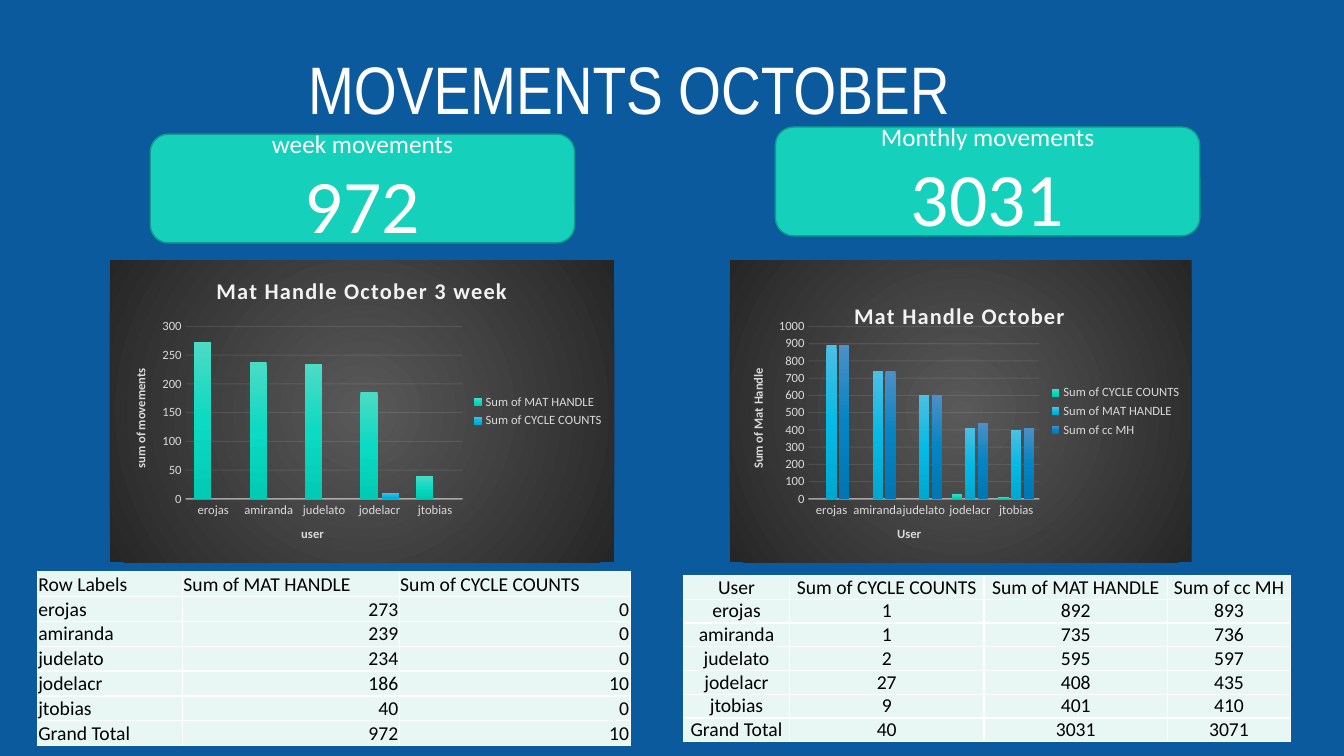
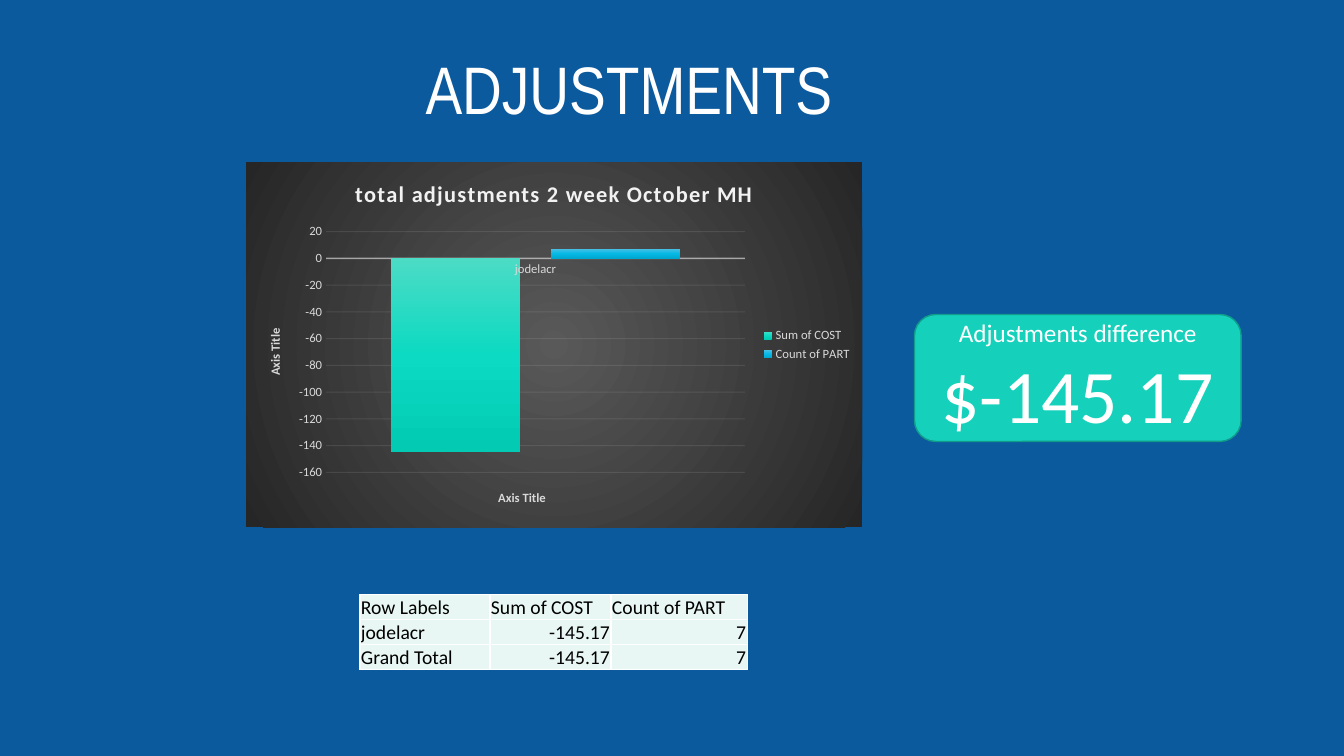
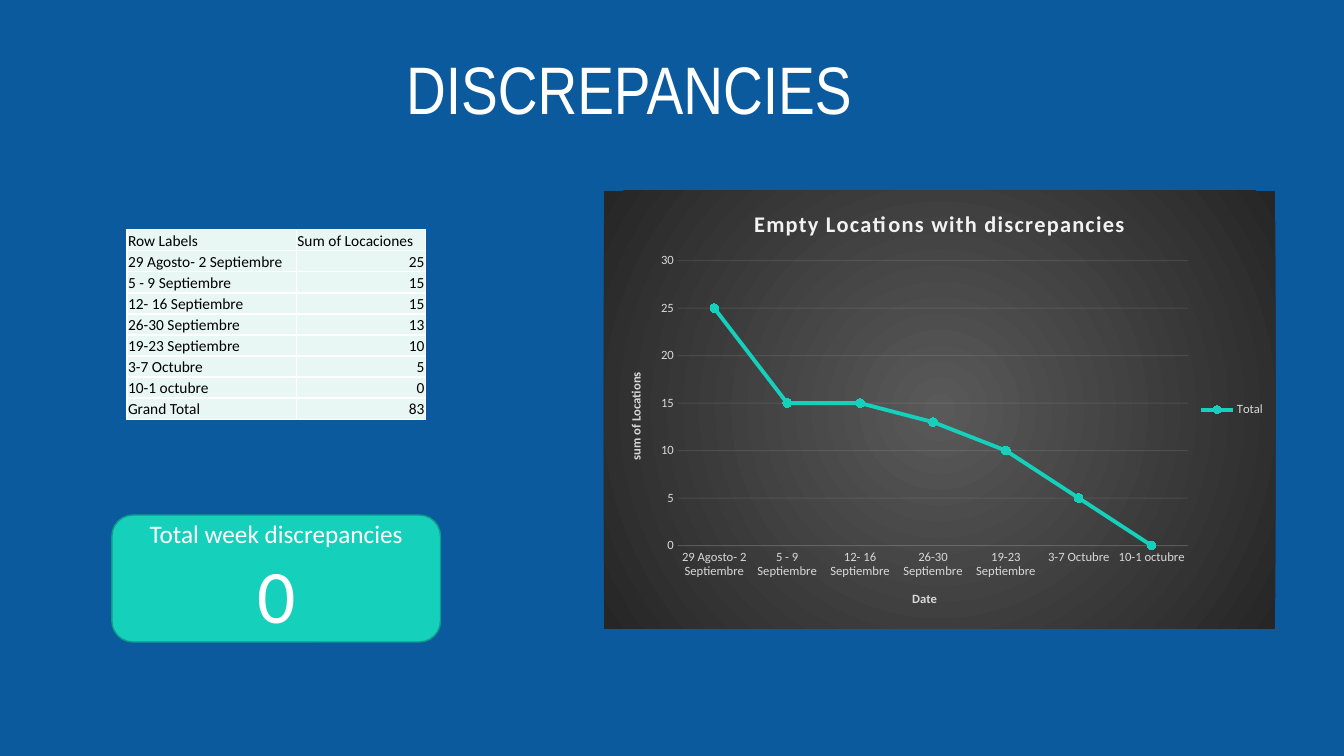
from lxml import etree
from pptx import Presentation
from pptx.chart.data import CategoryChartData
from pptx.dml.color import RGBColor
from pptx.enum import chart as kinds, shapes, text
from pptx.oxml import parse_xml
from pptx.oxml.ns import nsdecls, qn
from pptx.util import Inches, Pt

BLUE, TEAL, EDGE, MINT = "0C5A9E", "15D1BB", "109B8A", "E8F7F3"
WHITE, BLACK, PALE, GREY = "FFFFFF", "000000", "F2F2F2", "D9D9D9"
BARS = [("4CDBC5", "0CDAC2", "02CAB3"),
        ("4CBFE4", "05BAE5", "00A8D0"),
        ("4B90C6", "0484C4", "0076B2")]
DARK = ("595959", "262626")
ROUND = '<a:path path="circle"><a:fillToRect l="50000" t="50000" r="50000" b="50000"/></a:path>'
DOWN = '<a:lin ang="5400000" scaled="0"/>'
LEFT, MID, RIGHT = text.PP_ALIGN.LEFT, text.PP_ALIGN.CENTER, text.PP_ALIGN.RIGHT
BAR, LINE = kinds.XL_CHART_TYPE.COLUMN_CLUSTERED, kinds.XL_CHART_TYPE.LINE_MARKERS

WEEK = [
    ("Row Labels", "Sum of MAT HANDLE", "Sum of CYCLE COUNTS"),
    ("erojas", 273, 0),
    ("amiranda", 239, 0),
    ("judelato", 234, 0),
    ("jodelacr", 186, 10),
    ("jtobias", 40, 0),
    ("Grand Total", 972, 10),
]
MONTH = [
    ("User", "Sum of CYCLE COUNTS", "Sum of MAT HANDLE", "Sum of cc MH"),
    ("erojas", 1, 892, 893),
    ("amiranda", 1, 735, 736),
    ("judelato", 2, 595, 597),
    ("jodelacr", 27, 408, 435),
    ("jtobias", 9, 401, 410),
    ("Grand Total", 40, 3031, 3071),
]
COST = [
    ("Row Labels", "Sum of COST", "Count of PART"),
    ("jodelacr", -145.17, 7),
    ("Grand Total", -145.17, 7),
]
EMPTY = [
    ("Row Labels", "Sum of Locaciones"),
    ("29 Agosto- 2 Septiembre", 25),
    ("5 - 9 Septiembre", 15),
    ("12- 16 Septiembre", 15),
    ("26-30 Septiembre", 13),
    ("19-23 Septiembre", 10),
    ("3-7 Octubre", 5),
    ("10-1 octubre", 0),
    ("Grand Total", 83),
]

SLIDES = [
    dict(
        title="MOVEMENTS OCTOBER",
        cards=[((1.49, 1.33, 4.21, 1.08), "week movements", "972"),
               ((7.69, 1.26, 4.21, 1.08), "Monthly movements", "3031")],
        charts=[dict(rows=WEEK, box=(1.09, 2.58, 5, 3), plot=(0.15, 0.22, 0.55, 0.57),
                     title="Mat Handle October 3 week", axes=("user", "sum of movements")),
                dict(rows=MONTH, box=(7.24, 2.58, 4.58, 3), plot=(0.17, 0.22, 0.5, 0.57),
                     title="Mat Handle October", axes=("User", "Sum of Mat Handle"),
                     spot=(0.26, 0.12), digits=-1)],
        tables=[dict(rows=WEEK, at=(0.37, 5.67), high=1.73, cols=(1.44, 2.15, 2.29)),
                dict(rows=MONTH, at=(6.78, 5.71), high=1.65, cols=(1.05, 1.93, 1.82, 1.22),
                     mid=True)],
    ),
    dict(
        title="ADJUSTMENTS",
        cards=[((9.07, 3.12, 3.24, 1.26), "Adjustments difference", "$-145.17")],
        charts=[dict(rows=COST, box=(2.44, 1.61, 6.11, 3.62), plot=(0.13, 0.19, 0.68, 0.66),
                     title="total adjustments 2 week October MH",
                     axes=("Axis Title", "Axis Title"))],
        tables=[dict(rows=COST, at=(3.57, 5.9), high=0.74, cols=(1.29, 1.2, 1.35))],
    ),
    dict(
        title="DISCREPANCIES",
        cards=[((1.11, 5.11, 3.26, 1.26), "Total week discrepancies", "0")],
        charts=[dict(rows=EMPTY, box=(5.99, 1.89, 6.66, 4.35), plot=(0.11, 0.16, 0.76, 0.65),
                     title="Empty Locations with discrepancies",
                     axes=("Date", "sum of Locations"), kind=LINE, names=["Total"])],
        tables=[dict(rows=EMPTY, at=(1.26, 2.28), high=1.88, cols=(1.68, 1.28), size=11)],
    ),
]


def rgb(code):
    return RGBColor.from_string(code)


def inch(nums):
    return [Inches(n) for n in nums]


def write(frame, words, size=14, color=WHITE, font="Calibri", align=MID,
          bold=False, gap=None, lead=None, more=False):
    para = frame.add_paragraph() if more else frame.paragraphs[0]
    para.alignment = align
    if lead:
        para.line_spacing = lead
    run = para.add_run()
    run.text = words
    run.font.size, run.font.name, run.font.bold = Pt(size), font, bold
    run.font.color.rgb = rgb(color)
    if gap:
        run.font._element.set("spc", str(gap))


def inset(item, left, top, right, base):
    item.margin_left, item.margin_top, item.margin_right, item.margin_bottom = inch(
        (left, top, right, base))


def blend(codes, tail):
    last = len(codes) - 1
    stops = "".join(
        f'<a:gs pos="{100000 * i // last}"><a:srgbClr val="{code}"/></a:gs>'
        for i, code in enumerate(codes))
    return parse_xml(f'<a:gradFill {nsdecls("a")} rotWithShape="1">'
                     f'<a:gsLst>{stops}</a:gsLst>{tail}</a:gradFill>')


def stroke(line, color, width, alpha=100):
    line.color.rgb = rgb(color)
    line.width = Pt(width)
    if alpha < 100:
        tint = next(line._get_or_add_ln().iter(qn("a:srgbClr")))
        etree.SubElement(tint, qn("a:alpha")).set("val", str(alpha * 1000))


def place(node, index, nums, inner=False):
    for old in node.findall(qn("c:layout")):
        node.remove(old)
    pairs = [("layoutTarget", "inner")] if inner else []
    pairs += [("xMode", "edge"), ("yMode", "edge"), *zip("xywh", nums)]
    body = "".join(f'<c:{tag} val="{val}"/>' for tag, val in pairs)
    node.insert(index, parse_xml(
        f'<c:layout {nsdecls("c")}><c:manualLayout>{body}</c:manualLayout></c:layout>'))


def head(slide, words):
    frame = slide.shapes.add_textbox(*inch((2.32, 0.36, 7.84, 0.97))).text_frame
    frame.word_wrap = True
    frame.vertical_anchor = text.MSO_ANCHOR.BOTTOM
    inset(frame, 0, 0.05, 0, 0.05)
    write(frame, words, size=48, font="Arial Narrow", lead=0.9)


def card(slide, box, label, count):
    shape = slide.shapes.add_shape(shapes.MSO_SHAPE.ROUNDED_RECTANGLE, *inch(box))
    shape.shadow.inherit = False
    shape.fill.solid()
    shape.fill.fore_color.rgb = rgb(TEAL)
    stroke(shape.line, EDGE, 1)
    frame = shape.text_frame
    frame.word_wrap = True
    frame.vertical_anchor = text.MSO_ANCHOR.MIDDLE
    write(frame, label, size=18)
    write(frame, count, size=54, more=True)


def grid(slide, rows, at, high, cols, mid=False, size=14):
    frame = slide.shapes.add_table(len(rows), len(cols), *inch((*at, sum(cols), high)))
    table = frame.table
    table.first_row = table.horz_banding = False
    for col, wide in zip(table.columns, cols):
        col.width = Inches(wide)
    for r, row in enumerate(rows):
        table.rows[r].height = Inches(high / len(rows))
        for c, value in enumerate(row):
            cell = table.cell(r, c)
            pad = 0 if mid else 0.01
            inset(cell, pad, pad, pad, 0)
            cell.vertical_anchor = text.MSO_ANCHOR.BOTTOM
            for side in "LRTB":
                cell._tc.get_or_add_tcPr().append(parse_xml(
                    f'<a:ln{side} {nsdecls("a")} w="12700"><a:solidFill>'
                    f'<a:srgbClr val="{WHITE}"/></a:solidFill></a:ln{side}>'))
            cell.fill.solid()
            cell.fill.fore_color.rgb = rgb(MINT)
            align = MID if mid else RIGHT if r and c else LEFT
            write(cell.text_frame, str(value), size=size, color=BLACK, align=align)


def graph(slide, rows, box, plot, title, axes, kind=BAR, names=None, spot=None, digits=0):
    top, *body = rows[:-1]
    cats, *sets = zip(*body)
    data = CategoryChartData()
    data.categories = cats
    for name, vals in zip(names or top[1:], sets):
        data.add_series(name, [int(round(val, digits)) for val in vals])
    chart = slide.shapes.add_chart(kind, *inch(box), data).chart
    chart.font.size, chart.font.name = Pt(9), "Calibri"
    chart.font.color.rgb = rgb(GREY)

    back = parse_xml(f'<c:spPr {nsdecls("c", "a")}><a:ln><a:noFill/></a:ln></c:spPr>')
    back.insert(0, blend(DARK, ROUND))
    chart._chartSpace.find(qn("c:chart")).addnext(back)

    chart.has_title = True
    write(chart.chart_title.text_frame, title, size=16, color=PALE, bold=True, gap=100)
    if spot:
        place(chart.chart_title._element, 1, spot)
    chart.has_legend = True
    chart.legend.position = kinds.XL_LEGEND_POSITION.RIGHT
    chart.legend.include_in_layout = False
    place(chart._chartSpace.find(".//" + qn("c:plotArea")), 0, plot, inner=True)

    cat, val = chart.category_axis, chart.value_axis
    for axis, words in zip((cat, val), axes):
        axis.major_tick_mark = axis.minor_tick_mark = kinds.XL_TICK_MARK.NONE
        write(axis.axis_title.text_frame, words, size=9, color=GREY, bold=True)
    turn = val.axis_title.text_frame._txBody.find(qn("a:bodyPr"))
    turn.set("rot", "-5400000")
    turn.set("vert", "horz")
    val.format.line.fill.background()
    val.has_major_gridlines = True
    stroke(val.major_gridlines.format.line, PALE, 0.75, 10)

    area = chart.plots[0]
    area.vary_by_categories = False
    if kind == LINE:
        stroke(cat.format.line, PALE, 0.75, 10)
        for line in area.series:
            line.smooth = False
            stroke(line.format.line, TEAL, 2.75)
            dot = line.marker
            dot.style, dot.size = kinds.XL_MARKER_STYLE.CIRCLE, 6
            dot.format.fill.solid()
            dot.format.fill.fore_color.rgb = rgb(BARS[0][1])
            stroke(dot.format.line, TEAL, 0.75)
    else:
        stroke(cat.format.line, PALE, 1, 54)
        area.gap_width, area.overlap = 100, -24
        for bar, codes in zip(area.series, BARS):
            bar.invert_if_negative = False
            bar._element.get_or_add_spPr().append(blend(codes, DOWN))


def main():
    deck = Presentation()
    deck.slide_width, deck.slide_height = inch((13.33, 7.5))
    fill = deck.slide_master.background.fill
    fill.solid()
    fill.fore_color.rgb = rgb(BLUE)
    for page in SLIDES:
        slide = deck.slides.add_slide(deck.slide_layouts[6])
        head(slide, page["title"])
        for item in page["cards"]:
            card(slide, *item)
        for item in page["charts"]:
            graph(slide, **item)
        for item in page["tables"]:
            grid(slide, **item)
    deck.save("out.pptx")


if __name__ == "__main__":
    main()
